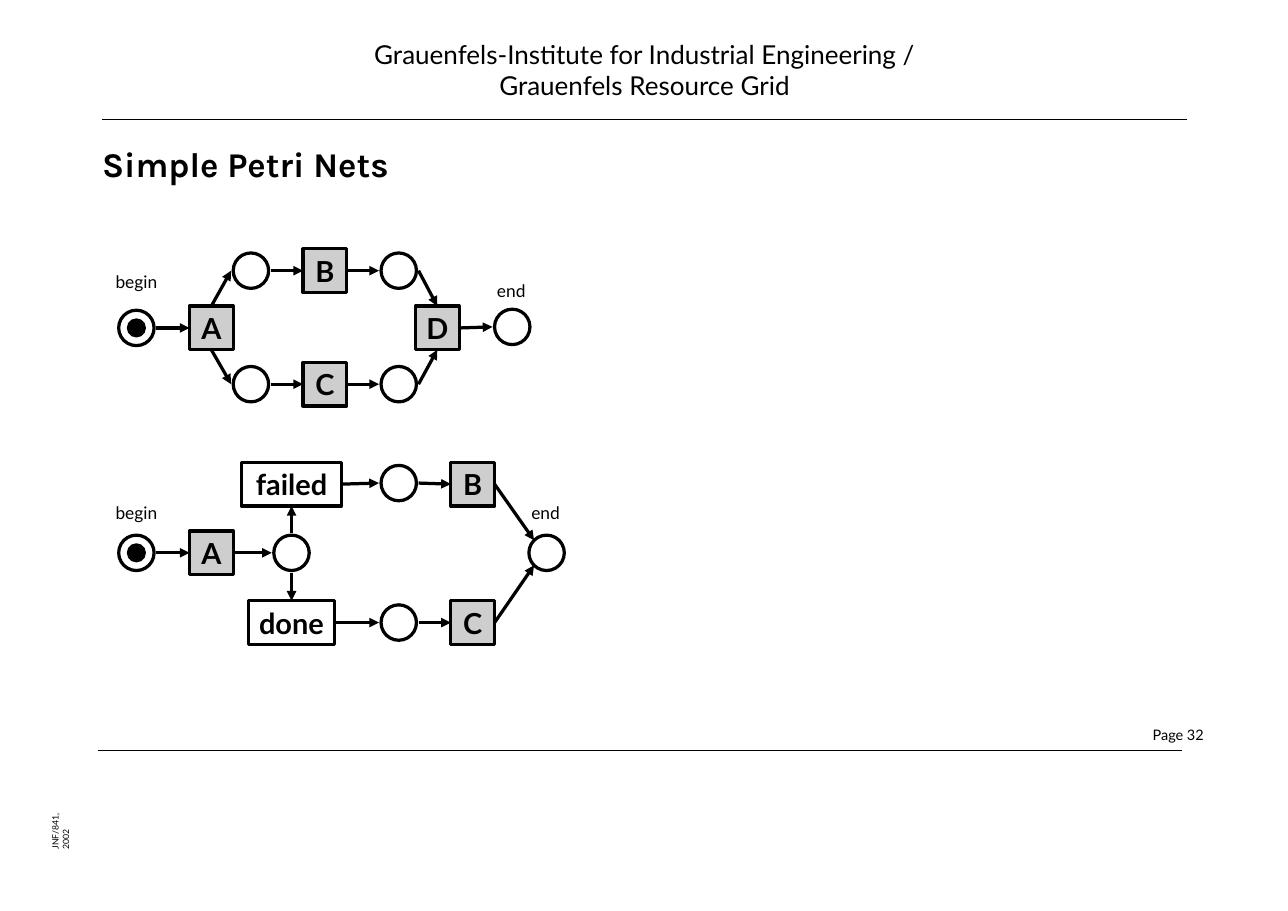
from lxml.etree import SubElement
from pptx import Presentation
from pptx.dml.color import RGBColor
from pptx.enum.shapes import MSO_CONNECTOR, MSO_SHAPE
from pptx.enum.text import MSO_ANCHOR, PP_ALIGN
from pptx.oxml.ns import qn
from pptx.util import Inches, Pt

BLACK = RGBColor(0x00, 0x00, 0x00)
GREY = RGBColor(0xCE, 0xCE, 0xCE)

HEADER = ["Grauenfels-Institute for Industrial Engineering /",
          "Grauenfels Resource Grid"]
TITLE = "Simple Petri Nets"
PAGE = "Page 32"
REFERENCE = "JNF/841, 2002"

BOX, CIRCLE, TOKEN = 0.42, 0.34, 0.17
GAP = 0.02

# Places: name -> centre
PARALLEL_PLACES = {
    "begin": (1.31, 3.15), "to B": (2.41, 2.6), "to C": (2.41, 3.69),
    "from B": (3.83, 2.6), "from C": (3.83, 3.69), "end": (4.92, 3.14),
}
CHOICE_PLACES = {
    "begin": (1.31, 5.31), "choice": (2.8, 5.31), "to B": (3.83, 4.64),
    "to C": (3.83, 5.98), "end": (5.25, 5.31),
}
# Transitions: text -> centre, width, fill
PARALLEL_TRANSITIONS = {
    "A": (2.03, 3.15, BOX, GREY), "B": (3.12, 2.6, BOX, GREY),
    "C": (3.12, 3.69, BOX, GREY), "D": (4.2, 3.15, BOX, GREY),
}
CHOICE_TRANSITIONS = {
    "failed": (2.8, 4.65, 0.96, None), "done": (2.8, 5.98, 0.83, None),
    "A": (2.03, 5.31, BOX, GREY), "B": (4.54, 4.65, BOX, GREY),
    "C": (4.54, 5.98, BOX, GREY),
}
# Arcs: from node, side, to node, side
PARALLEL_ARCS = [
    ("begin", "right", "A", "left"),
    ("A", "top", "to B", "left"), ("A", "bottom", "to C", "left"),
    ("to B", "right", "B", "left"), ("to C", "right", "C", "left"),
    ("B", "right", "from B", "left"), ("C", "right", "from C", "left"),
    ("from B", "right", "D", "top"), ("from C", "right", "D", "bottom"),
    ("D", "right", "end", "left"),
]
CHOICE_ARCS = [
    ("begin", "right", "A", "left"), ("A", "right", "choice", "left"),
    ("choice", "top", "failed", "bottom"), ("choice", "bottom", "done", "top"),
    ("failed", "right", "to B", "left"), ("done", "right", "to C", "left"),
    ("to B", "right", "B", "left"), ("to C", "right", "C", "left"),
    ("B", "right", "end", "top left"), ("C", "right", "end", "bottom left"),
]
# Labels: text, centre x, top
PARALLEL_LABELS = [("begin", 1.31, 2.56), ("end", 4.91, 2.64)]
CHOICE_LABELS = [("begin", 1.31, 4.77), ("end", 5.24, 4.77)]
NETS = [
    (PARALLEL_PLACES, PARALLEL_TRANSITIONS, PARALLEL_ARCS, PARALLEL_LABELS),
    (CHOICE_PLACES, CHOICE_TRANSITIONS, CHOICE_ARCS, CHOICE_LABELS),
]

SITES = {"top": 0, "left": 1, "bottom": 2, "right": 3}
DIRECTIONS = {"top": (0, -1), "left": (-1, 0), "bottom": (0, 1), "right": (1, 0),
              "top left": (-0.71, -0.71), "bottom left": (-0.71, 0.71)}


def write(sp, lines, size=12, font="Lato", bold=False, align=PP_ALIGN.LEFT,
          anchor=MSO_ANCHOR.TOP, wrap=False, inset=(0, 0), spacing=None):
    tf = sp.text_frame
    tf.word_wrap = wrap
    tf.vertical_anchor = anchor
    tf.margin_left = tf.margin_right = Inches(inset[0])
    tf.margin_top = tf.margin_bottom = Inches(inset[1])
    for i, line in enumerate(lines):
        p = tf.paragraphs[0] if i == 0 else tf.add_paragraph()
        p.alignment = align
        if spacing:
            p.line_spacing = Pt(spacing)
        r = p.add_run()
        r.text = line
        r.font.size = Pt(size)
        r.font.name = font
        r.font.bold = bold
        r.font.color.rgb = BLACK


def add_text(slide, lines, x, y, w, h, rotation=0, **style):
    sp = slide.shapes.add_textbox(Inches(x), Inches(y), Inches(w), Inches(h))
    sp.rotation = rotation
    write(sp, lines, **style)


def add_node(slide, kind, cx, cy, w, h, fill=None, weight=2.25):
    """Add a shape centred on (cx, cy)."""
    sp = slide.shapes.add_shape(kind, Inches(cx - w / 2), Inches(cy - h / 2),
                                Inches(w), Inches(h))
    sp.shadow.inherit = False
    if fill is None:
        sp.fill.background()
    else:
        sp.fill.solid()
        sp.fill.fore_color.rgb = fill
    sp.line.color.rgb = BLACK
    sp.line.width = Pt(weight)
    return sp


def add_line(slide, start, end, weight):
    line = slide.shapes.add_connector(
        MSO_CONNECTOR.STRAIGHT, *(Inches(v) for v in (*start, *end)))
    line.line.color.rgb = BLACK
    line.line.width = Pt(weight)
    SubElement(line._element.spPr, qn("a:effectLst"))
    return line


def circle_point(centre, side):
    reach = CIRCLE / 2 + (0 if " " in side else GAP)
    return tuple(c + reach * d for c, d in zip(centre, DIRECTIONS[side]))


def add_arc(slide, places, boxes, source, source_side, target, target_side):
    start, end = (circle_point(places[name], side) if name in places else (0, 0)
                  for name, side in ((source, source_side), (target, target_side)))
    arc = add_line(slide, start, end, 2.25)
    if source in boxes:
        arc.begin_connect(boxes[source], SITES[source_side])
    if target in boxes:
        arc.end_connect(boxes[target], SITES[target_side])
    SubElement(arc.line._get_or_add_ln(), qn("a:tailEnd"), type="triangle")


def add_net(slide, places, transitions, arcs, labels):
    for name, (cx, cy) in places.items():
        add_node(slide, MSO_SHAPE.OVAL, cx, cy, CIRCLE, CIRCLE)
        if name == "begin":
            add_node(slide, MSO_SHAPE.OVAL, cx, cy, TOKEN, TOKEN, BLACK, 1)
    boxes = {}
    for name, (cx, cy, w, fill) in transitions.items():
        boxes[name] = add_node(slide, MSO_SHAPE.RECTANGLE, cx, cy, w, BOX, fill)
        write(boxes[name], [name], size=20, bold=True, align=PP_ALIGN.CENTER,
              anchor=MSO_ANCHOR.MIDDLE, inset=(0.1, 0.05))
    for arc in arcs:
        add_arc(slide, places, boxes, *arc)
    for text, cx, top in labels:
        add_text(slide, [text], cx - 0.32, top, 0.64, 0.3,
                 align=PP_ALIGN.CENTER, inset=(0.1, 0.05))


def main():
    prs = Presentation()
    prs.slide_width, prs.slide_height = Inches(12.37), Inches(8.75)
    slide = prs.slides.add_slide(prs.slide_layouts[6])
    add_text(slide, HEADER, 0.98, 0.36, 10.42, 0.61, size=18, wrap=True,
             align=PP_ALIGN.CENTER, spacing=22)
    add_line(slide, (0.98, 1.15), (11.4, 1.15), 1)
    add_text(slide, [TITLE], 0.98, 1.38, 10.42, 0.58, size=24, font="Karla",
             bold=True, wrap=True, spacing=28)
    for net in NETS:
        add_net(slide, *net)
    add_text(slide, [PAGE], 10.52, 6.97, 1.04, 0.19, size=10, align=PP_ALIGN.RIGHT)
    add_line(slide, (0.94, 7.21), (11.35, 7.21), 0.85)
    add_text(slide, [REFERENCE], 0.36, 7.84, 0.54, 0.1, rotation=270, size=6,
             anchor=MSO_ANCHOR.BOTTOM, wrap=True)
    prs.save("out.pptx")


if __name__ == "__main__":
    main()
